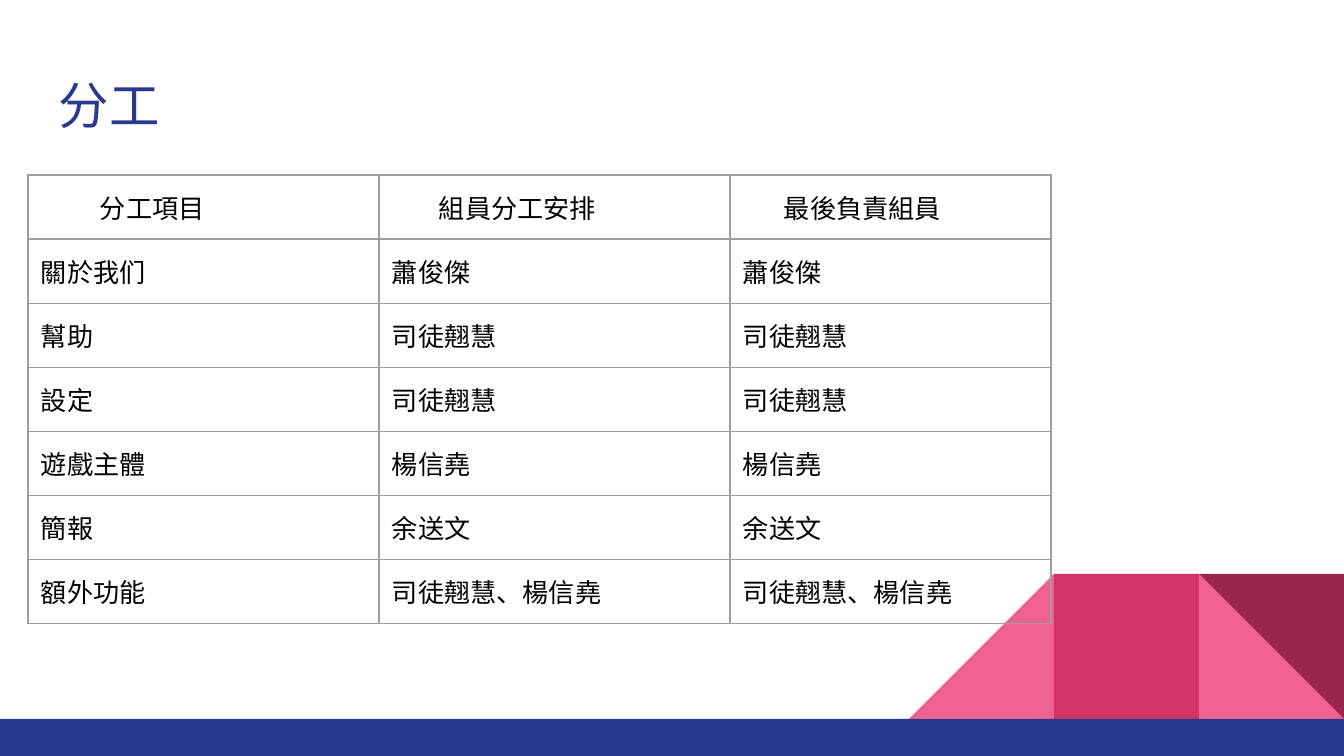
"""Build the slide that lists how the team divides its work."""
from dataclasses import dataclass

from lxml.etree import SubElement
from pptx import Presentation
from pptx.dml.color import RGBColor
from pptx.enum.shapes import MSO_SHAPE
from pptx.enum.text import MSO_ANCHOR, MSO_AUTO_SIZE, PP_ALIGN
from pptx.oxml.ns import qn
from pptx.util import Emu, Pt


@dataclass(frozen=True)
class Theme:
    """Colours, fonts and type sizes of the slide."""
    navy: str = "2A3990"
    light_pink: str = "F06292"
    pink: str = "D23369"
    dark_pink: str = "9C254D"
    grid: str = "9E9E9E"
    text: str = "000000"
    title_font: str = "Roboto"
    body_font: str = "Arial"
    title_size: int = 27
    body_size: int = 14
    grid_width: float = 0.75


THEME = Theme()
EMU_PER_PX = 914400 / 134.4
SLIDE_WIDTH, SLIDE_HEIGHT = 1344, 756
TILE = 145
BAND_HEIGHT = 37
INSET = 13
TABLE_LEFT, TABLE_TOP, ROW_HEIGHT = 28, 175, 63
COLUMN_WIDTHS = (351, 351, 321)
HEADER_INDENTS = (59, 47, 41)
ROWS = (
    ("分工項目", "組員分工安排", "最後負責組員"),
    ("關於我们", "蕭俊傑", "蕭俊傑"),
    ("幫助", "司徒翹慧", "司徒翹慧"),
    ("設定", "司徒翹慧", "司徒翹慧"),
    ("遊戲主體", "楊信堯", "楊信堯"),
    ("簡報", "余送文", "余送文"),
    ("額外功能", "司徒翹慧、楊信堯", "司徒翹慧、楊信堯"),
)


def px(length):
    """Turn whole pixels into EMU."""
    return Emu(round(length * EMU_PER_PX))


def add_run(paragraph, text, font, size, color):
    """Add one formatted run to a paragraph."""
    run = paragraph.add_run()
    run.text = text
    run.font.name = font
    run.font.size = Pt(size)
    run.font.bold = False
    run.font.color.rgb = RGBColor.from_string(color)


def add_block(shapes, kind, box, color):
    """Add a flat preset shape without outline."""
    shape = shapes.add_shape(kind, *map(px, box))
    shape.shadow.inherit = False
    shape.fill.solid()
    shape.fill.fore_color.rgb = RGBColor.from_string(color)
    shape.line.fill.background()
    return shape


def add_decoration(slide):
    """Add the corner tiles and the bottom band as one group."""
    shapes = slide.shapes.add_group_shape().shapes
    band_top = SLIDE_HEIGHT - BAND_HEIGHT
    left, middle, right = (
        (SLIDE_WIDTH - count * TILE, band_top - TILE, TILE, TILE) for count in (3, 2, 1)
    )
    triangle = MSO_SHAPE.RIGHT_TRIANGLE
    add_block(shapes, triangle, right, THEME.light_pink)
    mirrored = add_block(shapes, triangle, left, THEME.light_pink)
    mirrored._element.spPr.xfrm.set("flipH", "1")
    add_block(shapes, MSO_SHAPE.RECTANGLE, middle, THEME.pink)
    add_block(shapes, triangle, right, THEME.dark_pink).rotation = 180
    band = (0, band_top, SLIDE_WIDTH, BAND_HEIGHT)
    add_block(shapes, MSO_SHAPE.RECTANGLE, band, THEME.navy)


def fill_title(slide, text):
    """Place and format the title placeholder."""
    title = slide.shapes.title
    title.left, title.top, title.width, title.height = map(px, (46, 60, 1252, 89))
    frame = title.text_frame
    frame.auto_size = MSO_AUTO_SIZE.NONE
    frame.word_wrap = True
    frame.vertical_anchor = MSO_ANCHOR.MIDDLE
    frame.margin_left = frame.margin_right = px(INSET)
    frame.margin_top = frame.margin_bottom = px(INSET)
    paragraph = frame.paragraphs[0]
    paragraph.alignment = PP_ALIGN.LEFT
    add_run(paragraph, text, THEME.title_font, THEME.title_size, THEME.navy)


def add_borders(cell):
    """Draw the grid line on all four sides of a cell."""
    properties = cell._tc.get_or_add_tcPr()
    for side in ("a:lnL", "a:lnR", "a:lnT", "a:lnB"):
        line = SubElement(properties, qn(side), w=str(Pt(THEME.grid_width)))
        fill = SubElement(line, qn("a:solidFill"))
        SubElement(fill, qn("a:srgbClr"), val=THEME.grid)


def fill_cell(cell, text, indent):
    """Write and format one table cell."""
    add_borders(cell)
    cell.fill.background()
    cell.margin_left = px(INSET + indent)
    cell.margin_right = cell.margin_top = cell.margin_bottom = px(INSET)
    paragraph = cell.text_frame.paragraphs[0]
    add_run(paragraph, text, THEME.body_font, THEME.body_size, THEME.text)


def add_work_table(slide):
    """Add the table of tasks and members."""
    box = (TABLE_LEFT, TABLE_TOP, sum(COLUMN_WIDTHS), ROW_HEIGHT * len(ROWS))
    table = slide.shapes.add_table(len(ROWS), len(COLUMN_WIDTHS), *map(px, box)).table
    table.first_row = table.horz_banding = False
    for column, width in zip(table.columns, COLUMN_WIDTHS):
        column.width = px(width)
    for row_index, texts in enumerate(ROWS):
        table.rows[row_index].height = px(ROW_HEIGHT)
        for column_index, text in enumerate(texts):
            indent = HEADER_INDENTS[column_index] if row_index == 0 else 0
            fill_cell(table.cell(row_index, column_index), text, indent)


def main():
    """Build and save the presentation."""
    presentation = Presentation()
    presentation.slide_width = px(SLIDE_WIDTH)
    presentation.slide_height = px(SLIDE_HEIGHT)
    slide = presentation.slides.add_slide(presentation.slide_layouts[5])
    add_decoration(slide)
    fill_title(slide, "分工")
    add_work_table(slide)
    presentation.save("out.pptx")


if __name__ == "__main__":
    main()
